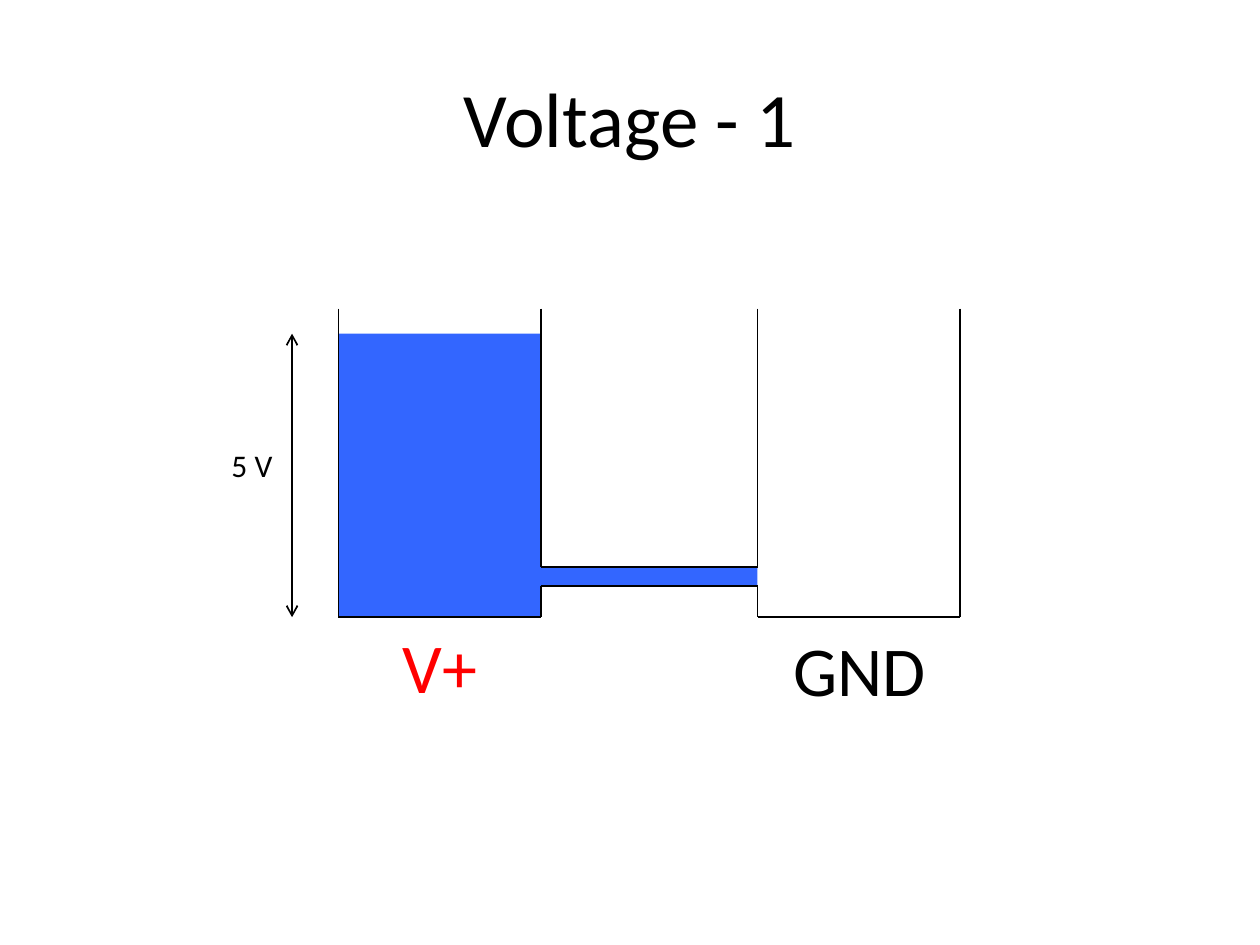
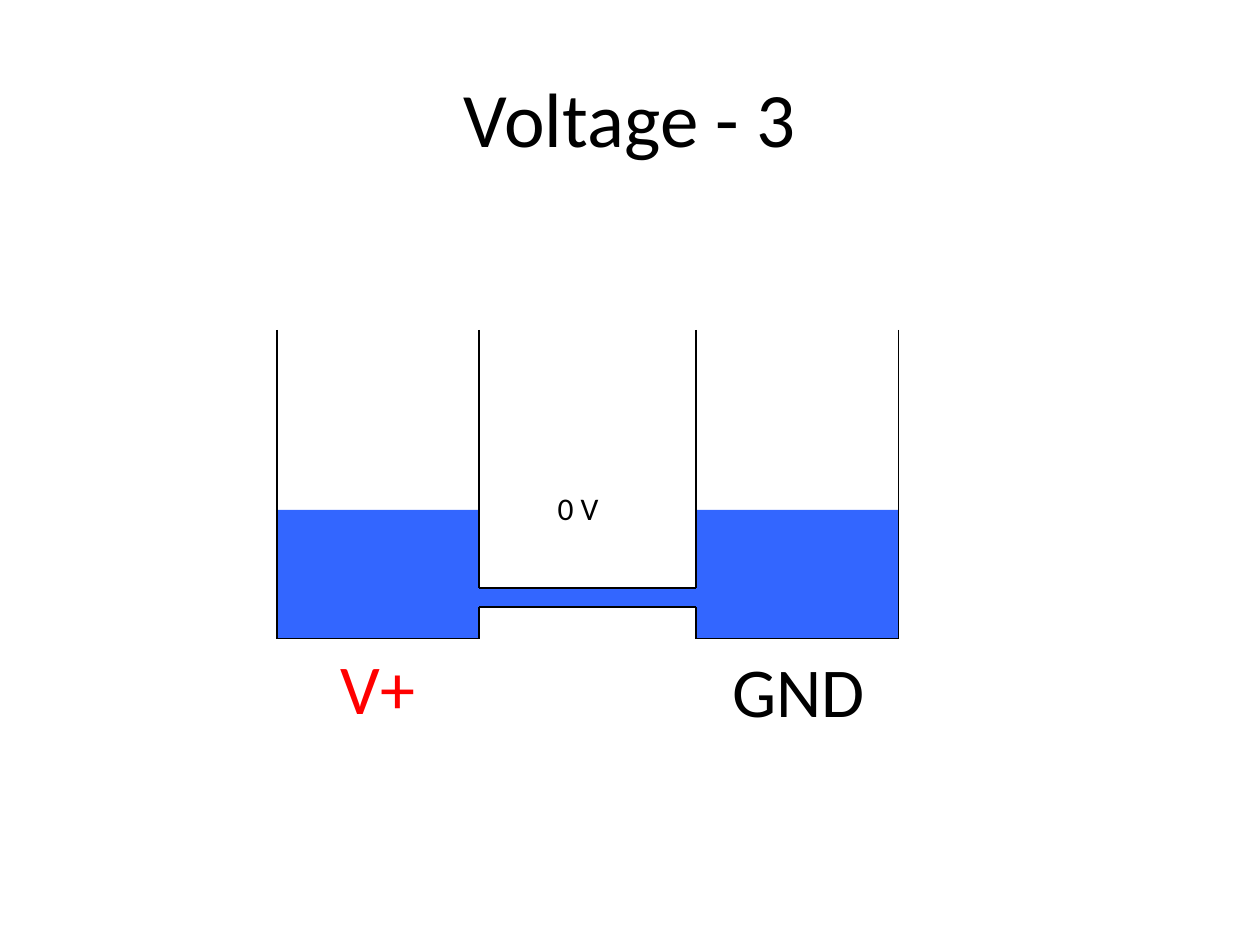
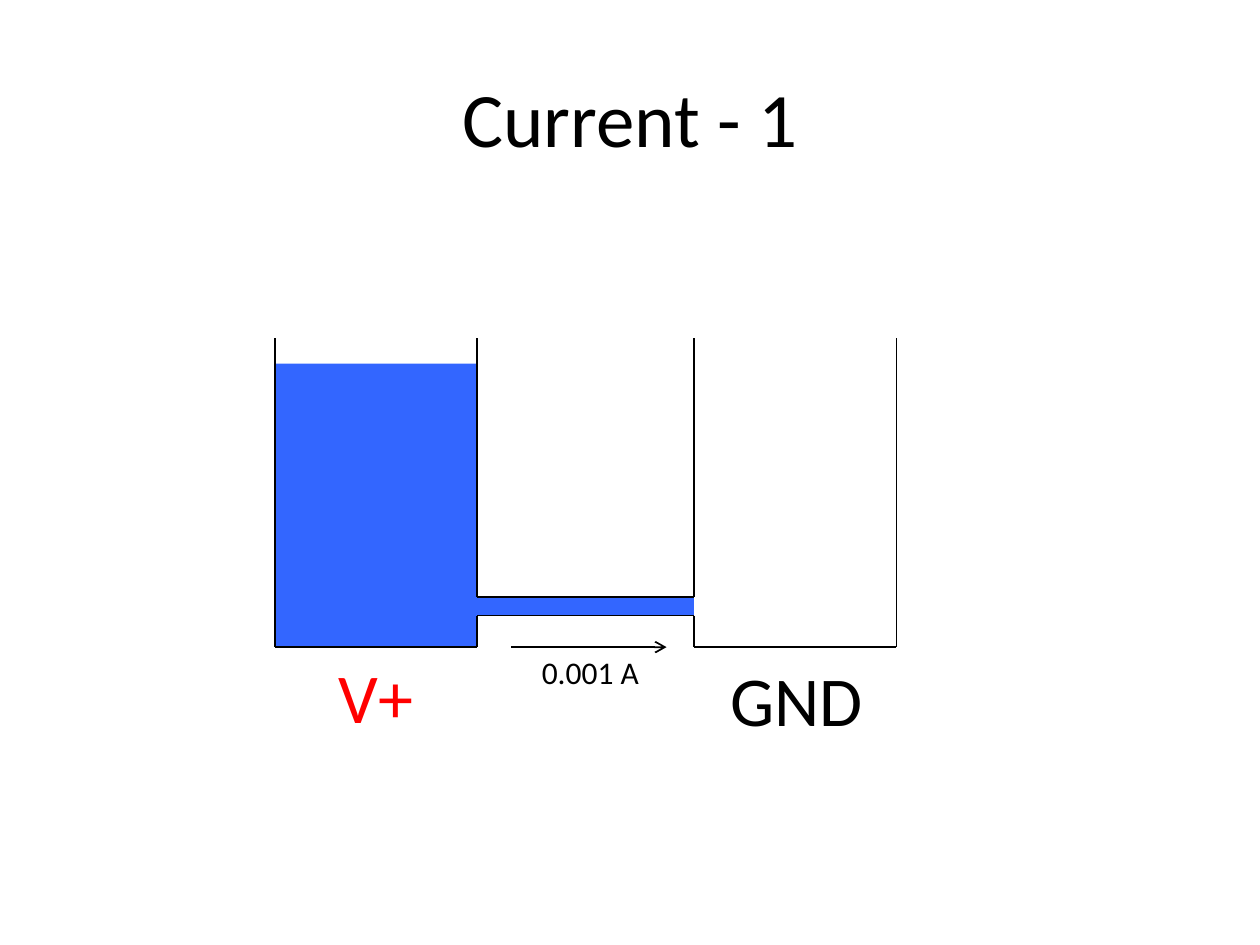
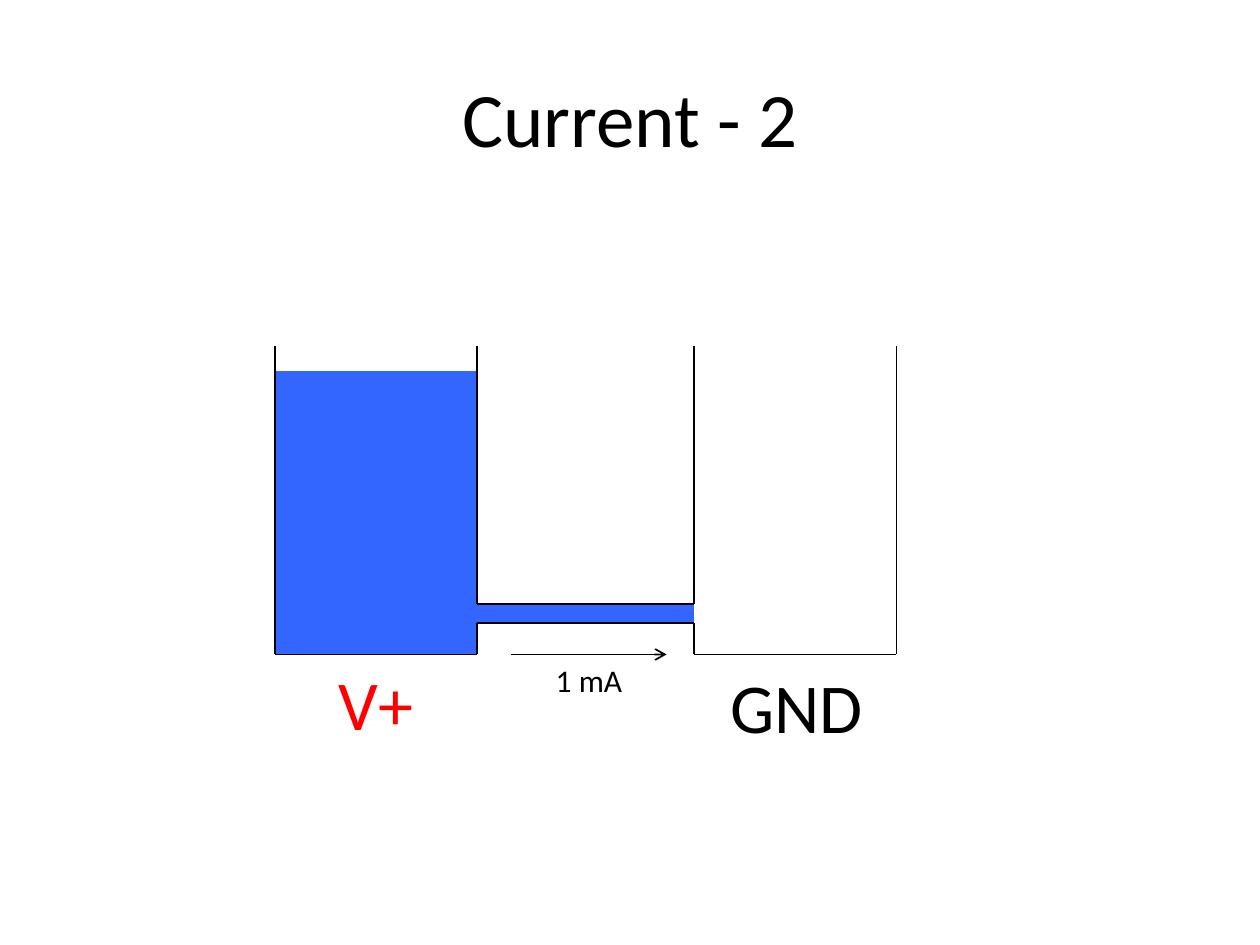
import pptx
import pptx.dml.color
import pptx.enum.shapes
import pptx.enum.text
import pptx.oxml.ns
import pptx.util
import lxml.etree

Pt = pptx.util.Pt
BLACK = pptx.dml.color.RGBColor(0x00, 0x00, 0x00)
RED = pptx.dml.color.RGBColor(0xFF, 0x00, 0x00)
WATER_BLUE = pptx.dml.color.RGBColor(0x33, 0x66, 0xFF)
FONT = "Calibri"

TANK_WIDTH = 115.7
TANK_HEIGHT = 176.4
PIPE_LENGTH = 123.8
PIPE_TOP = 28.8
PIPE_BOTTOM = 18
PIPE_OVERLAP = 41.5
FULL = 162
HALF = 73.5

LEVEL_ARROW = ((-26.5, FULL), (-26.5, 0))
FLOW_ARROW = ((135.2, 0), (223.8, 0))

SLIDES = [
    {"title": "Voltage - 1", "left": 193.4, "bottom": 352.7, "levels": (FULL, 0),
     "arrow": LEVEL_ARROW, "both_ends": True,
     "reading": "5 V", "reading_at": (-68.2, 101.5), "reading_width": 38.2},
    {"title": "Voltage - 3", "left": 158.2, "bottom": 364.9, "levels": (HALF, HALF),
     "reading": "0 V", "reading_at": (153.4, 89.3), "reading_width": 38.2},
    {"title": "Current - 1", "left": 157.1, "bottom": 369.8, "levels": (FULL, 0),
     "arrow": FLOW_ARROW,
     "reading": "0.001 A", "reading_at": (145.4, 0), "reading_width": 70.6},
    {"title": "Current - 2", "left": 157.1, "bottom": 374, "levels": (FULL, 0),
     "arrow": FLOW_ARROW,
     "reading": "1 mA", "reading_at": (153.4, 0), "reading_width": 52.6},
]


def add_text(slide, text, left, top, width, height, size=18, color=BLACK,
             align=pptx.enum.text.PP_ALIGN.CENTER,
             anchor=pptx.enum.text.MSO_ANCHOR.TOP, wrap=True):
    shape = slide.shapes.add_textbox(Pt(left), Pt(top), Pt(width), Pt(height))
    frame = shape.text_frame
    frame.word_wrap = wrap
    frame.vertical_anchor = anchor
    paragraph = frame.paragraphs[0]
    paragraph.alignment = align
    run = paragraph.add_run()
    run.text = text
    run.font.name = FONT
    run.font.size = Pt(size)
    run.font.color.rgb = color


def add_water(slide, left, top, right, bottom):
    shape = slide.shapes.add_shape(pptx.enum.shapes.MSO_SHAPE.RECTANGLE,
                                   Pt(left), Pt(top), Pt(right - left), Pt(bottom - top))
    shape.shadow.inherit = False
    shape.fill.solid()
    shape.fill.fore_color.rgb = WATER_BLUE
    shape.line.fill.background()


def add_line(slide, start, end, arrow_ends=()):
    connector = slide.shapes.add_connector(
        pptx.enum.shapes.MSO_CONNECTOR.STRAIGHT, *(Pt(value) for value in (*start, *end)))
    connector.line.color.rgb = BLACK
    connector.line.width = Pt(1)
    qualified = pptx.oxml.ns.qn
    properties = connector._element.find(qualified("p:spPr"))
    line = properties.find(qualified("a:ln"))
    for name in arrow_ends:
        lxml.etree.SubElement(line, qualified(name), type="arrow")
    lxml.etree.SubElement(properties, qualified("a:effectLst"))


def add_tanks(slide, left, bottom, levels):
    inner_left = left + TANK_WIDTH
    inner_right = inner_left + PIPE_LENGTH
    right = inner_right + TANK_WIDTH
    rim = bottom - TANK_HEIGHT
    pipe_top = bottom - PIPE_TOP
    pipe_bottom = bottom - PIPE_BOTTOM

    pipe_end = inner_right + (PIPE_OVERLAP if levels[1] else 0)
    add_water(slide, inner_left - PIPE_OVERLAP, pipe_top, pipe_end, pipe_bottom)
    for tank_left, level in zip((left, inner_right), levels):
        if level:
            add_water(slide, tank_left, bottom - level, tank_left + TANK_WIDTH, bottom)

    for x in (left, right):
        add_line(slide, (x, rim), (x, bottom))
    for x in (inner_left, inner_right):
        add_line(slide, (x, rim), (x, pipe_top))
        add_line(slide, (x, pipe_bottom), (x, bottom))
    for y in (pipe_top, pipe_bottom):
        add_line(slide, (inner_left, y), (inner_right, y))
    for x in (left, inner_right):
        add_line(slide, (x, bottom), (x + TANK_WIDTH, bottom))

    add_text(slide, "V+", left, bottom, TANK_WIDTH, 55.7, size=40, color=RED)
    add_text(slide, "GND", inner_right + 1.2, bottom + 1.7, TANK_WIDTH - 1.2, 55.7, size=40)


def build_slide(presentation, content):
    slide = presentation.slides.add_slide(presentation.slide_layouts[6])
    left, bottom = content["left"], content["bottom"]
    add_text(slide, content["title"], 36, 21.6, 648, 90, size=44,
             anchor=pptx.enum.text.MSO_ANCHOR.MIDDLE)
    add_tanks(slide, left, bottom, content["levels"])
    if "arrow" in content:
        start, end = [(left + x, bottom - rise) for x, rise in content["arrow"]]
        arrow_ends = ("a:headEnd", "a:tailEnd") if content.get("both_ends") else ("a:tailEnd",)
        add_line(slide, start, end, arrow_ends)
    x, rise = content["reading_at"]
    add_text(slide, content["reading"], left + x, bottom - rise, content["reading_width"], 29,
             align=pptx.enum.text.PP_ALIGN.LEFT, wrap=False)


def main():
    presentation = pptx.Presentation()
    presentation.slide_width = Pt(720)
    presentation.slide_height = Pt(540)
    for content in SLIDES:
        build_slide(presentation, content)
    presentation.save("out.pptx")


if __name__ == "__main__":
    main()
